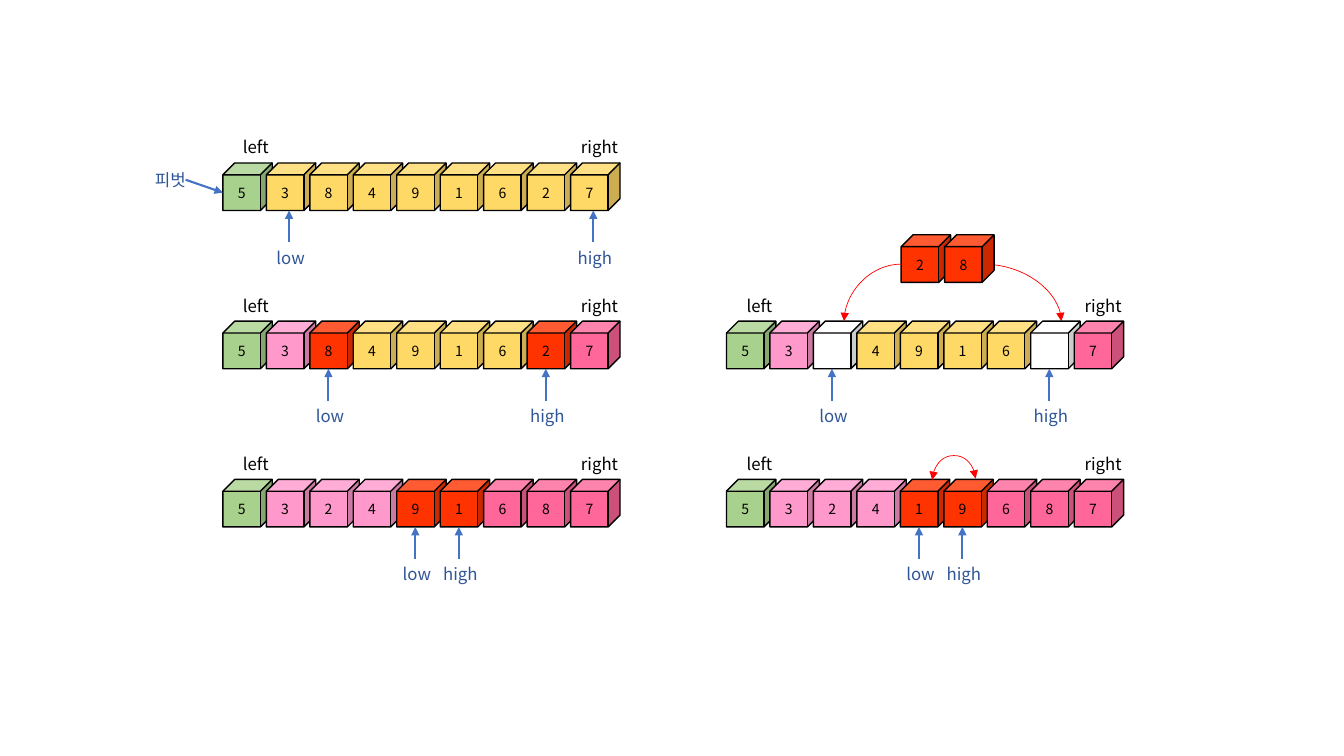
from lxml import etree
from pptx import Presentation
from pptx.dml.color import RGBColor
from pptx.enum import shapes, text
from pptx.oxml import ns
from pptx.util import Pt

FONT = "Noto Sans CJK KR"
BLACK = RGBColor(0x00, 0x00, 0x00)
NAVY = RGBColor(0x2F, 0x55, 0x97)
BLUE = RGBColor(0x44, 0x72, 0xC4)
RED = RGBColor(0xFF, 0x00, 0x00)
FILLS = {
    "P": RGBColor(0xA9, 0xD1, 0x8E),  # pivot
    "U": RGBColor(0xFF, 0xD9, 0x66),  # unsorted
    "S": RGBColor(0xFF, 0x99, 0xCC),  # smaller than the pivot
    "L": RGBColor(0xFF, 0x66, 0x99),  # larger than the pivot
    "X": RGBColor(0xFF, 0x33, 0x00),  # being swapped
    "E": RGBColor(0xFF, 0xFF, 0xFF),  # emptied
}

# column, row, values, states, low index, high index, pointer offset in the cube
STEPS = [
    (0, 0, "538491627", "PUUUUUUUU", 1, 8, 16.2),
    (0, 1, "538491627", "PSXUUUUXL", 2, 7, 13.3),
    (1, 1, "53 4916 7", "PSEUUUUEL", 2, 7, 13.3),
    (0, 2, "532491687", "PSSSXXLLL", 4, 5, 13.3),
    (1, 2, "532419687", "PSSSXXLLL", 4, 5, 13.3),
]
LIFTED = "28"

COLUMN_LEFT = (159.2, 518.9)
ROW_TOP, ROW_PITCH = 116.4, 113
CUBE_WIDTH, CUBE_HEIGHT, CUBE_PITCH = 35.3, 34, 31.05
TOP_FACE_CENTER = 21.9
ARROW_LENGTH = 22.8
LABEL_HEIGHT, END_WIDTH, POINTER_WIDTH = 21.8, 86.4, 41.8

presentation = Presentation()
presentation.slide_width, presentation.slide_height = Pt(960), Pt(540)
slide = presentation.slides.add_slide(presentation.slide_layouts[6])


def row_top(row):
    """Return the top of a row of cubes."""
    return ROW_TOP + row * ROW_PITCH


def cube_left(column, index):
    """Return the left edge of a cube in a column's row."""
    return COLUMN_LEFT[column] + index * CUBE_PITCH


def write(shape, words, size, color, align=text.PP_ALIGN.CENTER):
    """Put one formatted paragraph into a shape."""
    shape.text_frame.word_wrap = True
    paragraph = shape.text_frame.paragraphs[0]
    paragraph.text = words
    paragraph.alignment = align
    paragraph.font.size = Pt(size)
    paragraph.font.name = FONT
    paragraph.font.color.rgb = color
    for run in paragraph.runs:
        east_asian = etree.SubElement(run._r.get_or_add_rPr(), ns.qn("a:ea"))
        east_asian.set("typeface", FONT)


def add_label(words, left, top, width, color, align=text.PP_ALIGN.CENTER):
    """Add a one-line label."""
    box = slide.shapes.add_textbox(Pt(left), Pt(top), Pt(width), Pt(LABEL_HEIGHT))
    write(box, words, 12, color, align)


def add_cube(value, state, left, top):
    """Add one array element as a cube."""
    cube = slide.shapes.add_shape(shapes.MSO_SHAPE.CUBE, Pt(left), Pt(top),
                                  Pt(CUBE_WIDTH), Pt(CUBE_HEIGHT))
    cube.shadow.inherit = False
    cube.fill.solid()
    cube.fill.fore_color.rgb = FILLS[state]
    cube.line.color.rgb = BLACK
    cube.line.width = Pt(1)
    cube.text_frame.vertical_anchor = text.MSO_ANCHOR.MIDDLE
    if value.strip():
        write(cube, value, 10, BLACK)


def add_arrow(start, end, color=BLUE, width=1.5, preset="line", ends=("tailEnd",)):
    """Add a connector with triangle arrowheads and return it."""
    kind = shapes.MSO_CONNECTOR.STRAIGHT if preset == "line" else shapes.MSO_CONNECTOR.CURVE
    arrow = slide.shapes.add_connector(kind, *(Pt(value) for value in start + end))
    arrow.line.color.rgb = color
    arrow.line.width = Pt(width)
    properties = arrow._element.spPr
    properties.find(ns.qn("a:prstGeom")).set("prst", preset)
    for name in ends:
        head = etree.SubElement(arrow.line._get_or_add_ln(), ns.qn("a:" + name))
        head.set("type", "triangle")
    etree.SubElement(properties, ns.qn("a:effectLst"))
    return arrow


def add_curve(start, end):
    """Add a thin red quarter curve that leaves sideways and lands downwards."""
    add_arrow(start, end, RED, 0.5, "curvedConnector2")


def add_swap(left, right, top, rise):
    """Add a red two-headed arc over two neighbouring cubes."""
    center, span = (left + right) / 2, right - left
    arc = add_arrow((center - 0.5, top - span / 2), (center + 0.5, top + span / 2),
                    RED, 0.5, "curvedConnector3", ("headEnd", "tailEnd"))
    properties = arc._element.spPr
    frame = properties.find(ns.qn("a:xfrm"))
    for name, value in (("rot", "5400000"), ("flipH", "1"), ("flipV", "1")):
        frame.set(name, value)
    guides = properties.find(ns.qn("a:prstGeom")).get_or_add_avLst()
    guide = etree.SubElement(guides, ns.qn("a:gd"))
    guide.set("name", "adj1")
    guide.set("fmla", f"val {round(rise * 100000)}")


def add_step(column, row, values, states, low, high, offset):
    """Add a row of cubes with its end labels and pointers."""
    top = row_top(row)
    left = COLUMN_LEFT[column]
    for words, shift in (("left", -19.6), ("right", 225.9)):
        add_label(words, left + shift, top - 22, END_WIDTH, BLACK)
    for index, (value, state) in enumerate(zip(values, states)):
        add_cube(value, state, cube_left(column, index), top)
    bottom = top + CUBE_HEIGHT
    for words, index in (("low", low), ("high", high)):
        x = cube_left(column, index) + offset
        add_arrow((x, bottom + ARROW_LENGTH), (x, bottom))
        add_label(words, x - 19.8, bottom + ARROW_LENGTH, POINTER_WIDTH, NAVY)


# The right curve starts behind the lifted cubes
lifted_left, lifted_top = cube_left(1, 4) + 0.6, row_top(1) - 61.7
curve_top = lifted_top + 21
add_curve((lifted_left + 58.3, curve_top),
          (cube_left(1, 7) + TOP_FACE_CENTER, row_top(1)))

for step in STEPS:
    add_step(*step)

add_arrow((132.6, 128.4), (COLUMN_LEFT[0], 137.6))
add_label("피벗", 98, 117.4, POINTER_WIDTH, NAVY, text.PP_ALIGN.RIGHT)

for index, value in enumerate(LIFTED):
    add_cube(value, "X", lifted_left + index * CUBE_PITCH, lifted_top)
add_curve((lifted_left, curve_top),
          (cube_left(1, 2) + TOP_FACE_CENTER, row_top(1)))
add_swap(cube_left(1, 4) + TOP_FACE_CENTER + 0.8, cube_left(1, 5) + TOP_FACE_CENTER + 0.8,
         row_top(2), 17.6)

presentation.save("out.pptx")
